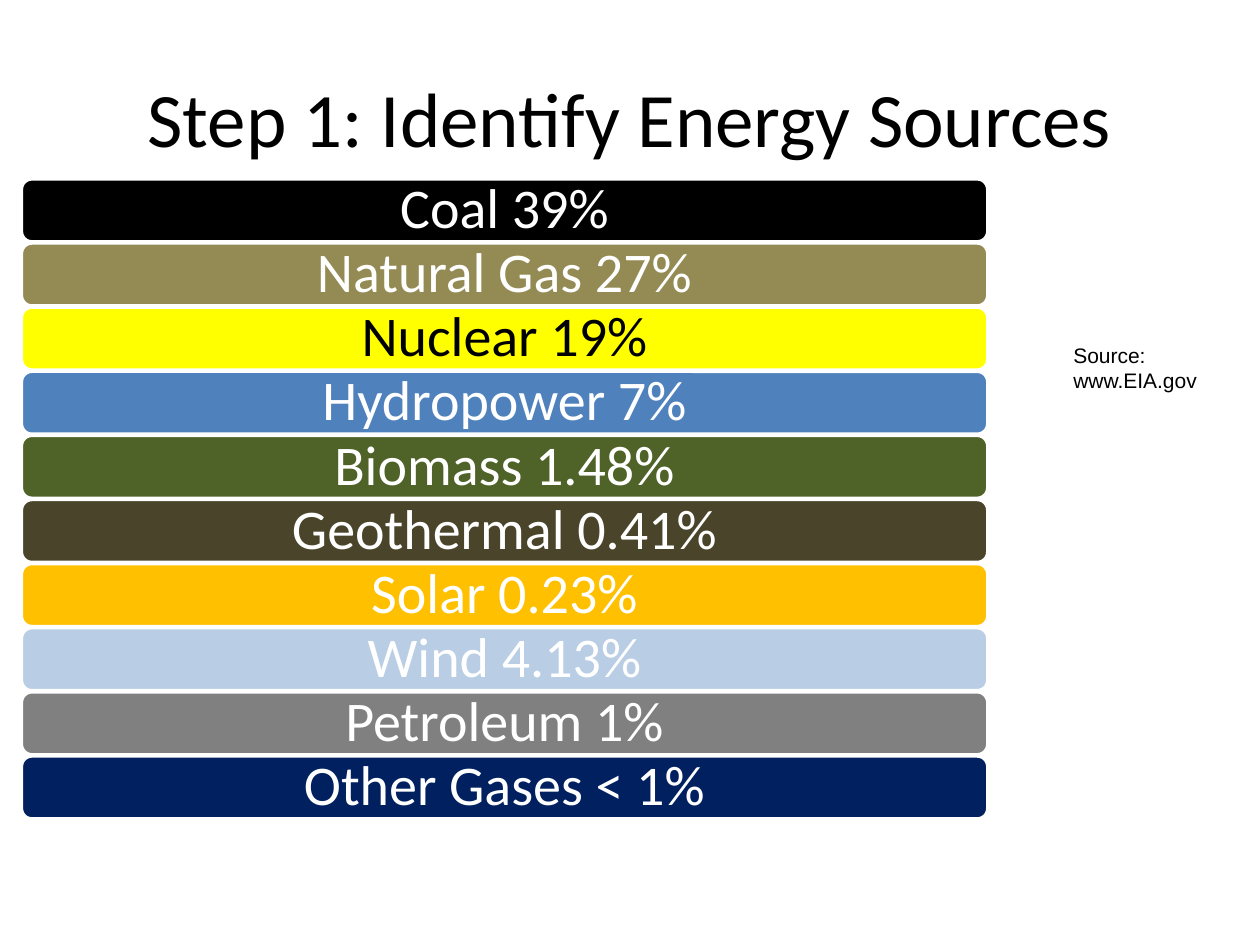
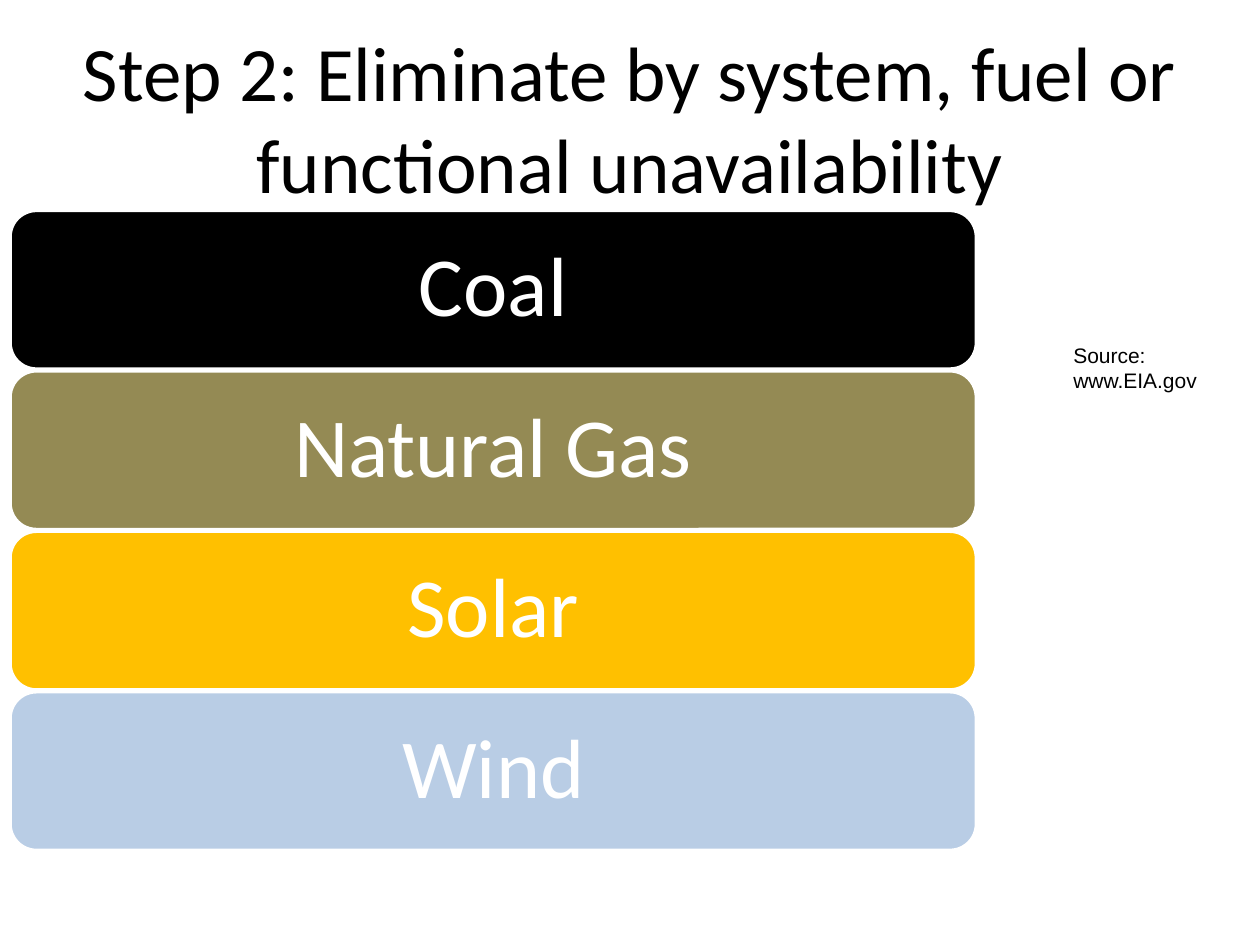
import pptx
import pptx.util
import pptx.dml.color
import pptx.enum.shapes
import pptx.enum.text
from dataclasses import dataclass

Inches = pptx.util.Inches
Pt = pptx.util.Pt
Align = pptx.enum.text.PP_ALIGN
Anchor = pptx.enum.text.MSO_ANCHOR


@dataclass(frozen=True)
class Theme:
    head: str = "Calibri"
    note: str = "Arial"
    black: str = "000000"
    white: str = "FFFFFF"
    tan: str = "948A54"
    yellow: str = "FFFF00"
    blue: str = "4F81BD"
    green: str = "4F6228"
    brown: str = "4A452A"
    gold: str = "FFC000"
    sky: str = "B9CDE5"
    gray: str = "808080"
    navy: str = "002060"
    title_size: int = 44
    note_size: int = 12
    small_bar: int = 32
    large_bar: int = 48


THEME = Theme()


def color(code):
    return pptx.dml.color.RGBColor.from_string(code)


def write(frame, text, *, size, font=THEME.head, ink=THEME.black,
          align=Align.CENTER, anchor=Anchor.MIDDLE, space=None):
    frame.word_wrap = True
    frame.vertical_anchor = anchor
    para = frame.paragraphs[0]
    para.alignment = align
    if space:
        para.line_spacing = space
    run = para.add_run()
    run.text = text
    run.font.size = Pt(size)
    run.font.name = font
    run.font.color.rgb = color(ink)


def add_title(slide, text):
    title = slide.shapes.title
    title.left, title.top = Inches(0.5), Inches(0.3)
    title.width, title.height = Inches(9), Inches(1.25)
    write(title.text_frame, text, size=THEME.title_size)


def add_bar(slide, text, fill, ink, left, top, height, size):
    bar = slide.shapes.add_shape(
        pptx.enum.shapes.MSO_SHAPE.ROUNDED_RECTANGLE,
        Inches(left), Inches(top), Inches(7.67), Inches(height))
    bar.shadow.inherit = False
    bar.fill.solid()
    bar.fill.fore_color.rgb = color(fill)
    bar.line.color.rgb = color(THEME.white)
    bar.line.width = Pt(2)
    frame = bar.text_frame
    frame.margin_top = frame.margin_bottom = 0
    write(frame, text, size=size, ink=ink, space=0.9)


def add_stack(slide, bars, *, left, first, last, height, size):
    pitch = (last - first) / (len(bars) - 1)
    for row, (text, fill) in enumerate(bars):
        ink = THEME.black if fill == THEME.yellow else THEME.white
        add_bar(slide, text, fill, ink, left, first + row * pitch, height, size)


def add_source(slide):
    box = slide.shapes.add_textbox(
        Inches(8.42), Inches(2.67), Inches(1.33), Inches(0.5))
    write(box.text_frame, "Source: www.EIA.gov", size=THEME.note_size,
          font=THEME.note, align=Align.LEFT, anchor=Anchor.TOP)


def add_step(deck, title, bars, **place):
    slide = deck.slides.add_slide(deck.slide_layouts[5])
    add_title(slide, title)
    add_stack(slide, bars, **place)
    add_source(slide)


def main():
    deck = pptx.Presentation()
    deck.slide_width, deck.slide_height = Inches(10), Inches(7.5)
    shares = [
        ("Coal 39%", THEME.black),
        ("Natural Gas 27%", THEME.tan),
        ("Nuclear 19%", THEME.yellow),
        ("Hydropower 7%", THEME.blue),
        ("Biomass 1.48%", THEME.green),
        ("Geothermal 0.41%", THEME.brown),
        ("Solar 0.23%", THEME.gold),
        ("Wind 4.13%", THEME.sky),
        ("Petroleum 1%", THEME.gray),
        ("Other Gases < 1%", THEME.navy),
    ]
    fuels = [
        ("Coal", THEME.black),
        ("Natural Gas", THEME.tan),
        ("Solar", THEME.gold),
        ("Wind", THEME.sky),
    ]
    add_step(deck, "Step 1: Identify Energy Sources", shares,
             left=0.17, first=1.42, last=6, height=0.5, size=THEME.small_bar)
    add_step(deck, "Step 2: Eliminate by system, fuel or functional unavailability",
             fuels, left=0.08, first=1.67, last=5.49, height=1.26,
             size=THEME.large_bar)
    deck.save("out.pptx")


main()
